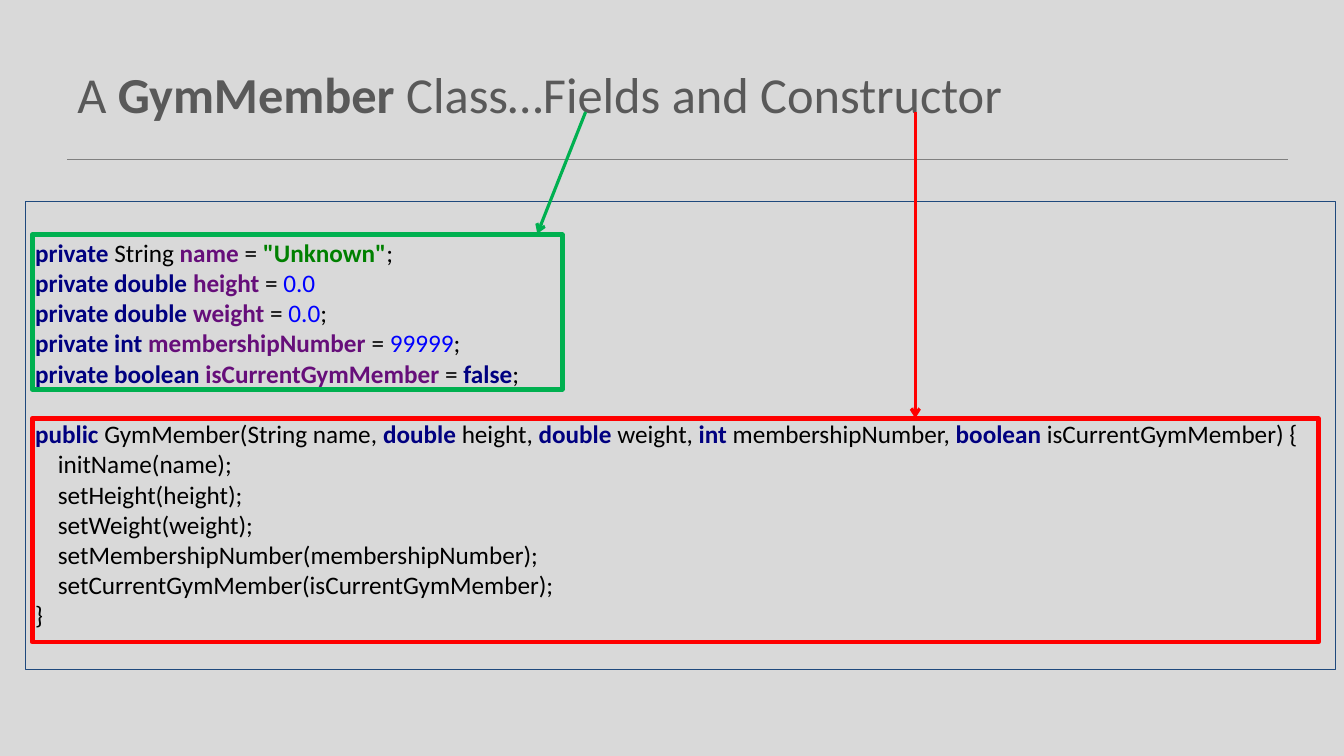
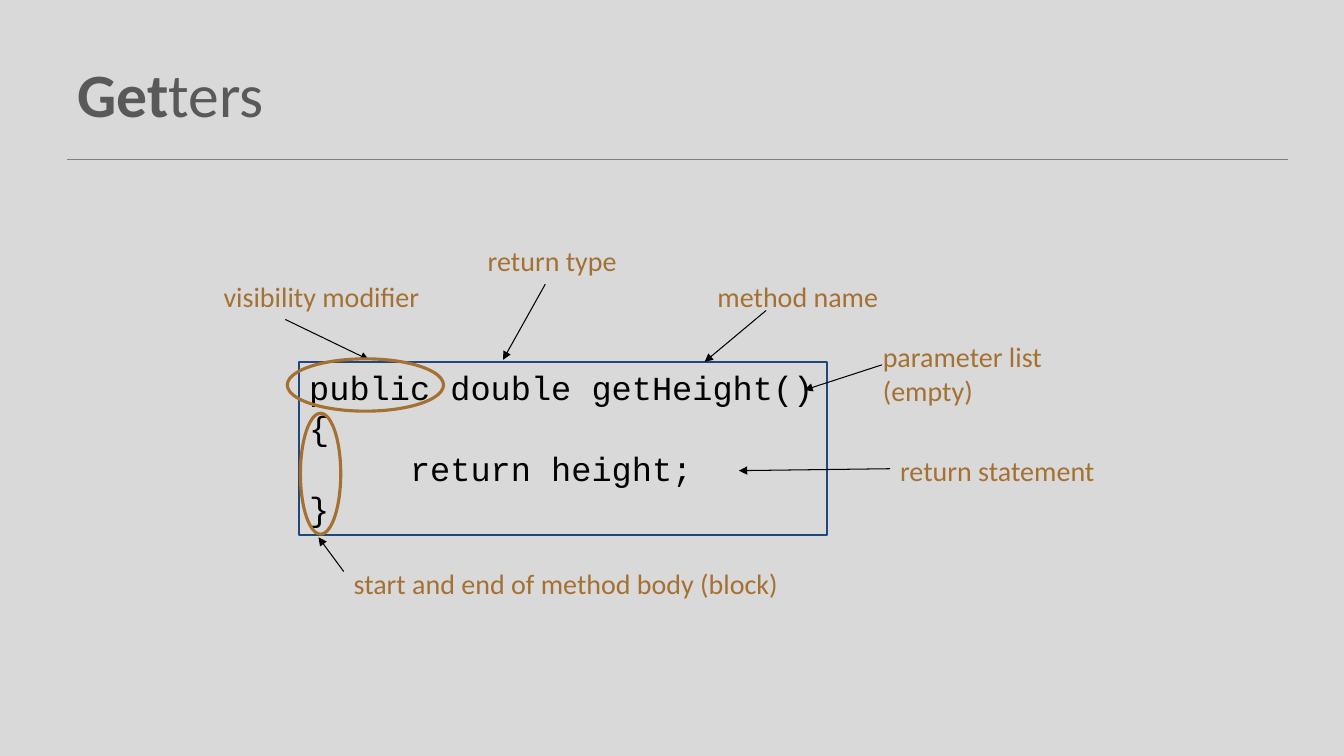
from dataclasses import dataclass

from lxml.etree import SubElement
from pptx import Presentation
from pptx.dml.color import RGBColor
from pptx.enum.shapes import MSO_CONNECTOR as Connector, MSO_SHAPE as Preset
from pptx.enum.text import MSO_ANCHOR as Anchor, MSO_AUTO_SIZE as AutoSize, PP_ALIGN as Align
from pptx.oxml.ns import qn
from pptx.util import Pt

BACKGROUND = RGBColor(0xD9, 0xD9, 0xD9)
RULE_GRAY = RGBColor(0x80, 0x80, 0x80)
TITLE_GRAY = RGBColor(0x59, 0x59, 0x59)
BLACK = RGBColor(0, 0, 0)
FRAME_BLUE = RGBColor(0x1F, 0x49, 0x7D)
GREEN = RGBColor(0x00, 0xB0, 0x50)
RED = RGBColor(0xFF, 0, 0)
OCHRE = RGBColor(0xA5, 0x71, 0x33)
KEYWORD_NAVY = RGBColor(0, 0, 0x80)
FIELD_PURPLE = RGBColor(0x66, 0x0E, 0x7A)
STRING_GREEN = RGBColor(0, 0x80, 0)
NUMBER_BLUE = RGBColor(0, 0, 0xFF)

SANS = "Calibri"
MONO = "Courier New"
LINE_FACTOR = 1.2
CODE_SIZE = 18


@dataclass(frozen=True)
class Span:
    text: str
    color: RGBColor = BLACK
    bold: bool = False


@dataclass(frozen=True)
class Outline:
    left: float
    top: float
    width: float
    height: float
    color: RGBColor
    weight: float
    preset: Preset = Preset.RECTANGLE


@dataclass(frozen=True)
class Arrow:
    start: tuple[float, float]
    end: tuple[float, float]
    color: RGBColor = BLACK
    weight: float = 0.75
    head: str = "triangle"


@dataclass(frozen=True)
class Callout:
    text: str
    left: float
    top: float
    width: float
    height: float
    arrow: Arrow


def keyword(text: str) -> Span:
    return Span(text, KEYWORD_NAVY, True)


def field(kind: Span, name: str, value: Span, ending: str = ";") -> list[Span]:
    return [keyword("private "), kind, Span(f"{name} ", FIELD_PURPLE, True),
            Span("= "), value, Span(ending)]


FIELDS = [
    field(Span("String "), "name", Span('"Unknown"', STRING_GREEN, True)),
    field(keyword("double "), "height", Span("0.0", NUMBER_BLUE), ""),
    field(keyword("double "), "weight", Span("0.0", NUMBER_BLUE)),
    field(keyword("int "), "membershipNumber", Span("99999", NUMBER_BLUE)),
    field(keyword("boolean "), "isCurrentGymMember", keyword("false")),
]
CONSTRUCTOR = [
    [keyword("public "), Span("GymMember(String name, "),
     keyword("double "), Span("height, "), keyword("double "), Span("weight, "),
     keyword("int "), Span("membershipNumber, "),
     keyword("boolean "), Span("isCurrentGymMember) {")],
    [Span("    initName(name);")],
    [Span("    setHeight(height);")],
    [Span("    setWeight(weight);")],
    [Span("    setMembershipNumber(membershipNumber);")],
    [Span("    setCurrentGymMember(isCurrentGymMember);")],
    [Span("}")],
]
GETTER = [[Span(line)] for line in
          ("public double getHeight()", "{", "     return height;", "}")]

CLASS_PARTS = [
    Outline(23, 167.8, 378.7, 110.2, GREEN, 3.5),
    Outline(23, 298.8, 918.7, 159.8, RED, 3.5),
]
CLASS_ARROWS = [
    Arrow((418.3, 80), (383.8, 167), GREEN, 2.25, "arrow"),
    Arrow((653.8, 80), (653.8, 298.8), RED, 2.25, "arrow"),
]
GETTER_RINGS = [
    Outline(214.6, 295.2, 28.8, 86.4, OCHRE, 2.25, Preset.OVAL),
    Outline(205.2, 256.3, 111.6, 37.4, OCHRE, 2.25, Preset.OVAL),
]
CALLOUTS = [
    Callout("visibility modifier", 152.6, 195.8, 156.2, 31.2,
            Arrow((203.8, 228.2), (263.5, 257))),
    Callout("return type", 341.3, 170.6, 123.8, 31.2,
            Arrow((389.5, 203), (359.3, 257))),
    Callout("method name", 505.4, 195.8, 130.3, 31.2,
            Arrow((547.2, 221.8), (503.3, 258.5))),
    Callout("parameter list (empty)", 623.5, 239, 162.7, 55.4,
            Arrow((630, 260.6), (574.6, 278.6))),
    Callout("return statement", 635.8, 320.4, 157.7, 31.2,
            Arrow((635.8, 334.8), (527.8, 336.2))),
    Callout("start and end of method body (block)", 245.5, 401, 358.6, 31.2,
            Arrow((245.5, 408.2), (227.5, 383.8))),
]


def write_text(frame, lines: list[list[Span]], *, size: float, font: str = SANS,
               anchor=Anchor.TOP, top_inset: float = 3.6, exact_lines: bool = True,
               gap_before: int | None = None) -> None:
    """Fill a text frame; gap_before is the index of a line set off by one line."""
    frame.word_wrap = True
    frame.auto_size = AutoSize.NONE
    frame.vertical_anchor = anchor
    frame.margin_left, frame.margin_right = Pt(7.2), Pt(0)
    frame.margin_top, frame.margin_bottom = Pt(top_inset), Pt(3.6)
    for index, line in enumerate(lines):
        para = frame.paragraphs[0] if index == 0 else frame.add_paragraph()
        para.alignment = Align.LEFT
        if exact_lines:
            para.line_spacing = Pt(size * LINE_FACTOR)
        if index == gap_before:
            para.space_before = Pt(size * LINE_FACTOR)
        for span in line:
            if not span.text:
                continue
            run = para.add_run()
            run.text = span.text
            run.font.name = font
            run.font.size = Pt(size)
            run.font.bold = span.bold
            run.font.color.rgb = span.color


def add_outline(page, outline: Outline):
    box = page.shapes.add_shape(outline.preset, Pt(outline.left), Pt(outline.top),
                                Pt(outline.width), Pt(outline.height))
    box.shadow.inherit = False
    box.fill.background()
    box.line.color.rgb = outline.color
    box.line.width = Pt(outline.weight)
    return box


def add_line(page, start: tuple[float, float], end: tuple[float, float],
             color: RGBColor, weight: float):
    line = page.shapes.add_connector(Connector.STRAIGHT, Pt(start[0]), Pt(start[1]),
                                     Pt(end[0]), Pt(end[1]))
    line.line.color.rgb = color
    line.line.width = Pt(weight)
    SubElement(line.element.spPr, qn("a:effectLst"))
    return line


def add_arrow(page, arrow: Arrow) -> None:
    line = add_line(page, arrow.start, arrow.end, arrow.color, arrow.weight)
    SubElement(line.line._get_or_add_ln(), qn("a:tailEnd"), type=arrow.head)


def add_callout(page, callout: Callout) -> None:
    box = page.shapes.add_textbox(Pt(callout.left), Pt(callout.top),
                                  Pt(callout.width), Pt(callout.height))
    write_text(box.text_frame, [[Span(callout.text, OCHRE)]], size=20)
    add_arrow(page, callout.arrow)


def prepare_layout(deck):
    """Give the title-only layout the shared background and title position."""
    fill = deck.slide_master.background.fill
    fill.solid()
    fill.fore_color.rgb = BACKGROUND
    layout = deck.slide_layouts.get_by_name("Title Only")
    title = layout.placeholders[0]
    title.left, title.top, title.width, title.height = Pt(48), Pt(21.6), Pt(864), Pt(90)
    return layout


def add_page(deck, layout, title: list[Span], size: float):
    page = deck.slides.add_slide(layout)
    write_text(page.shapes.title.text_frame, [title], size=size,
               anchor=Anchor.MIDDLE, exact_lines=False)
    return page


def add_layout_rule(layout, page) -> None:
    """Draw the rule under the title and move it to the layout all pages share."""
    rule = add_line(page, (48, 113.8), (920, 113.8), RULE_GRAY, 1)
    layout.shapes.element.append(rule.element)


def build_class_page(deck, layout):
    page = add_page(deck, layout, [
        Span("A ", TITLE_GRAY), Span("GymMember", TITLE_GRAY, True),
        Span(" Class…Fields and Constructor", TITLE_GRAY)], 36)
    code = add_outline(page, Outline(18, 144, 936, 334, FRAME_BLUE, 0.75))
    write_text(code.text_frame, FIELDS + CONSTRUCTOR, size=CODE_SIZE,
               top_inset=3.6 + CODE_SIZE * LINE_FACTOR, gap_before=len(FIELDS))
    for part in CLASS_PARTS:
        add_outline(page, part)
    for arrow in CLASS_ARROWS:
        add_arrow(page, arrow)
    return page


def build_getter_page(deck, layout) -> None:
    page = add_page(deck, layout, [
        Span("Get", TITLE_GRAY, True), Span("ters", TITLE_GRAY)], 44)
    code = add_outline(page, Outline(213.8, 258.5, 377.3, 123.8, FRAME_BLUE, 1.5))
    write_text(code.text_frame, GETTER, size=24, font=MONO)
    for callout in CALLOUTS:
        add_callout(page, callout)
    for ring in GETTER_RINGS:
        add_outline(page, ring)


def main() -> None:
    deck = Presentation()
    deck.slide_width, deck.slide_height = Pt(960), Pt(540)
    layout = prepare_layout(deck)
    class_page = build_class_page(deck, layout)
    add_layout_rule(layout, class_page)
    build_getter_page(deck, layout)
    deck.save("out.pptx")


if __name__ == "__main__":
    main()
